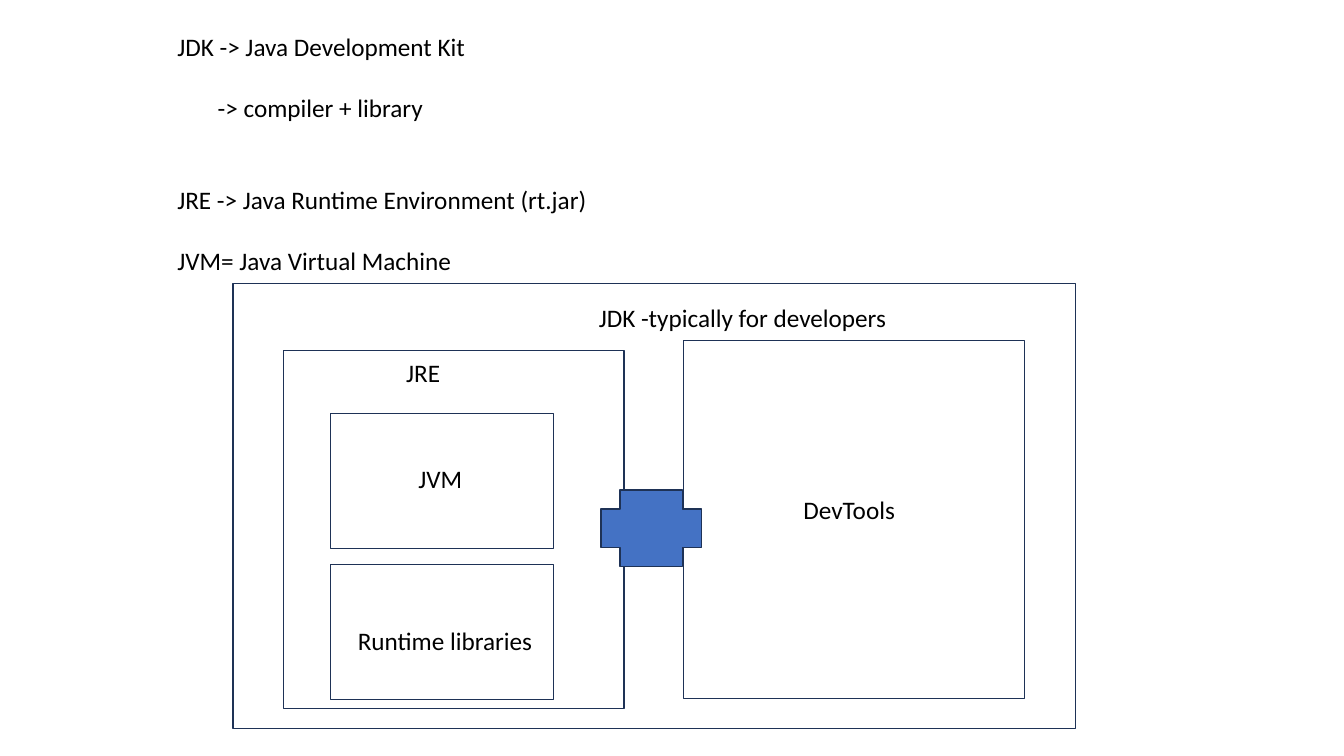
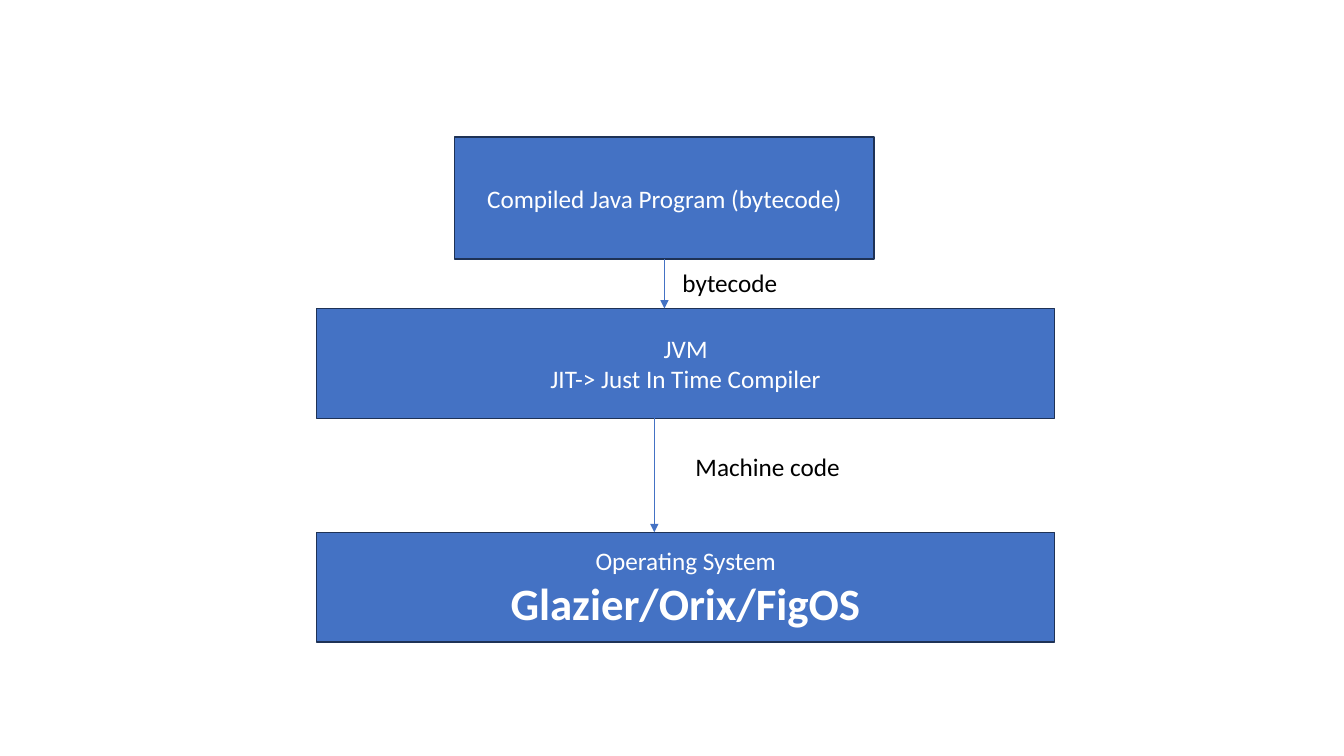
from lxml import etree
from pptx import Presentation
from pptx import util as u
from pptx.dml.color import RGBColor
from pptx.enum import shapes, text
from pptx.oxml import ns

PX = 9144
BLUE, NAVY, BLACK, WHITE = "4472C4", "1E3256", "000000", "FFFFFF"
BODY = {"name": "Calibri", "size": u.Pt(18), "bold": False}
HEADLINE = {**BODY, "size": u.Pt(32), "bold": True}
LINE_GAP = 22


def px(n):
    """Turn whole px into EMU."""
    return u.Emu(n * PX)


def rgb(value):
    """Turn a hex string into a colour."""
    return RGBColor.from_string(value)


class Deck:
    """Holds the presentation, its style and the current slide."""

    def __init__(self, width, height):
        """Start a presentation of the given size."""
        self.prs = Presentation()
        self.prs.slide_width, self.prs.slide_height = px(width), px(height)
        self.s = None

    def slide(self):
        """Add a blank slide and make it current."""
        self.s = self.prs.slides.add_slide(self.prs.slide_layouts[6])

    def put_lines(self, tf, lines, color, align):
        """Fill a frame with (text, format, space before, indent) lines."""
        tf.word_wrap = True
        for i, (words, style, gap, indent) in enumerate(lines):
            p = tf.add_paragraph() if i else tf.paragraphs[0]
            p.alignment, p.space_before = align, u.Pt(gap)
            if indent:
                p._p.get_or_add_pPr().set("marL", str(px(indent)))
            r = p.add_run()
            r.text = words
            for key, value in style.items():
                setattr(r.font, key, value)
            r.font.color.rgb = rgb(color)

    def label(self, x, y, w, h, *lines):
        """Add black text at the top left of a box."""
        sp = self.s.shapes.add_textbox(*map(px, (x, y, w, h)))
        self.put_lines(sp.text_frame, lines, BLACK, text.PP_ALIGN.LEFT)

    def box(self, x, y, w, h, *lines, fill=None, kind=shapes.MSO_SHAPE.RECTANGLE):
        """Add an outlined shape with optional fill and centred white text."""
        sp = self.s.shapes.add_shape(kind, *map(px, (x, y, w, h)))
        sp.shadow.inherit = False
        if fill:
            sp.fill.solid()
            sp.fill.fore_color.rgb = rgb(fill)
        else:
            sp.fill.background()
        sp.line.color.rgb, sp.line.width = rgb(NAVY), u.Pt(1)
        if lines:
            sp.text_frame.vertical_anchor = text.MSO_ANCHOR.MIDDLE
            self.put_lines(sp.text_frame, lines, WHITE, text.PP_ALIGN.CENTER)

    def arrow(self, x, top, bottom):
        """Add a thin arrow pointing straight down."""
        c = self.s.shapes.add_connector(
            shapes.MSO_CONNECTOR.STRAIGHT, *map(px, (x, top, x, bottom)))
        c.line.color.rgb, c.line.width = rgb(BLUE), u.Pt(0.5)
        props = c._element.spPr
        etree.SubElement(props.find(ns.qn("a:ln")), ns.qn("a:tailEnd"), type="triangle")
        etree.SubElement(props, ns.qn("a:effectLst"))


def line(words, style=BODY, gap=0, indent=0):
    """Describe one line of text."""
    return words, style, gap, indent


def java_parts(deck):
    """Draw what the JDK contains."""
    deck.slide()
    deck.label(
        166, 26, 871, 254,
        line("JDK -> Java Development Kit"),
        line("-> compiler + library", gap=LINE_GAP, indent=40),
        line("JRE -> Java Runtime Environment (rt.jar)", gap=2 * LINE_GAP),
        line("JVM= Java Virtual Machine", gap=LINE_GAP))
    deck.box(231, 281, 836, 442)
    deck.label(584, 295, 322, 40, line("JDK -typically for developers"))
    for x, y in ((281, 348), (678, 338)):
        deck.box(x, y, 338, 355)
    deck.box(596, 486, 100, 76, fill=BLUE, kind=shapes.MSO_SHAPE.CROSS)
    for y in (410, 560):
        deck.box(328, y, 221, 134)
    for x, y, name in ((393, 350, "JRE"), (787, 485, "DevTools"),
                       (405, 455, "JVM"), (345, 615, "Runtime libraries")):
        deck.label(x, y, 209, 40, line(name))


def execution(deck):
    """Draw the path from bytecode to the operating system."""
    deck.slide()
    deck.box(451, 136, 416, 121, line("Compiled Java Program (bytecode)"), fill=BLUE)
    layers = (
        (306, line("JVM"), line("JIT-> Just In Time Compiler")),
        (528, line("Operating System"), line("Glazier/Orix/FigOS", HEADLINE)))
    for y, *lines in layers:
        deck.box(314, y, 732, 109, *lines, fill=BLUE)
    for x, top, bottom in ((659, 257, 306), (649, 414, 528)):
        deck.arrow(x, top, bottom)
    for x, y, name in ((667, 260, "bytecode"), (680, 443, "Machine code")):
        deck.label(x, y, 187, 40, line(name))


def main():
    """Build and save both slides."""
    deck = Deck(1333, 750)
    java_parts(deck)
    execution(deck)
    deck.prs.save("out.pptx")


if __name__ == "__main__":
    main()
